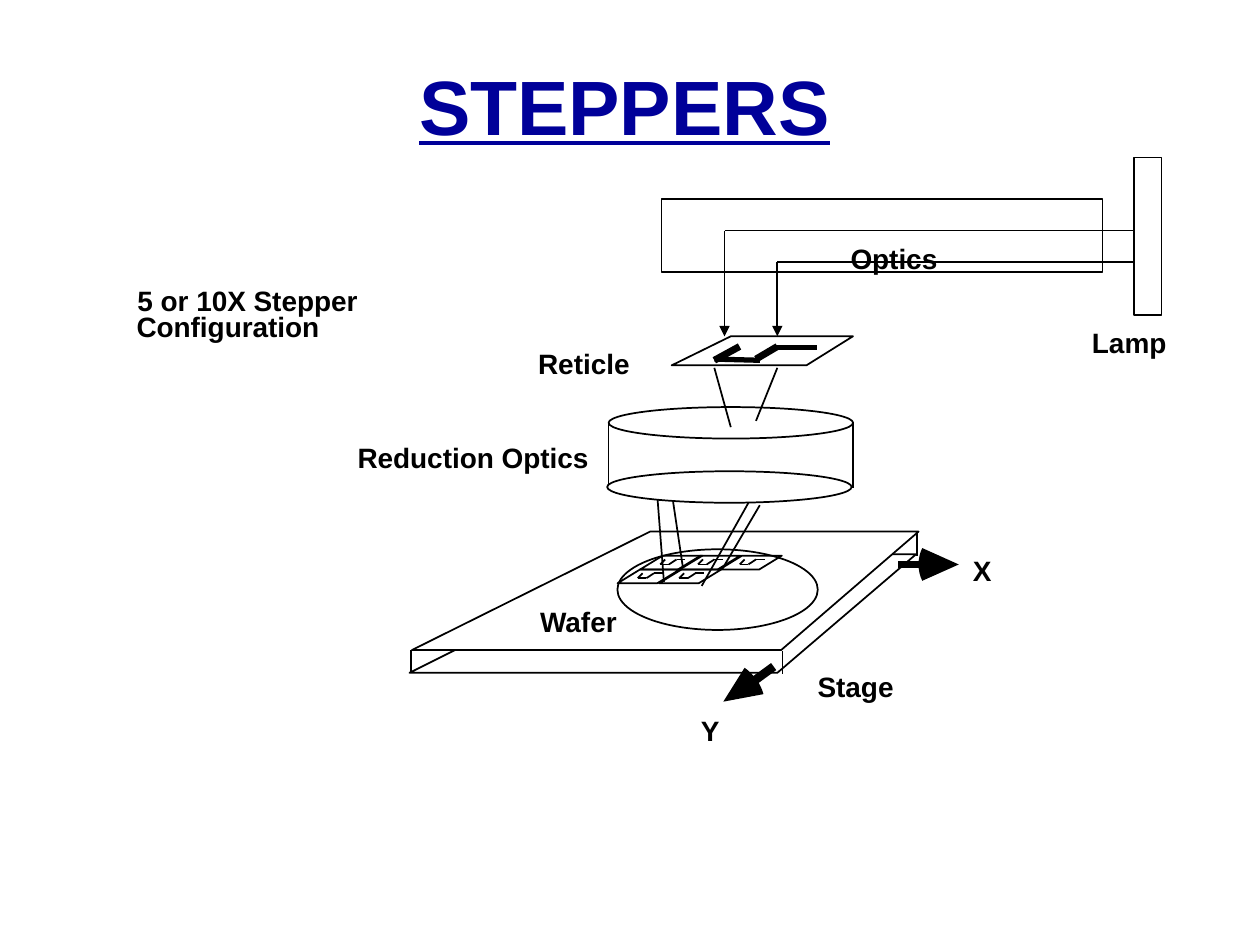
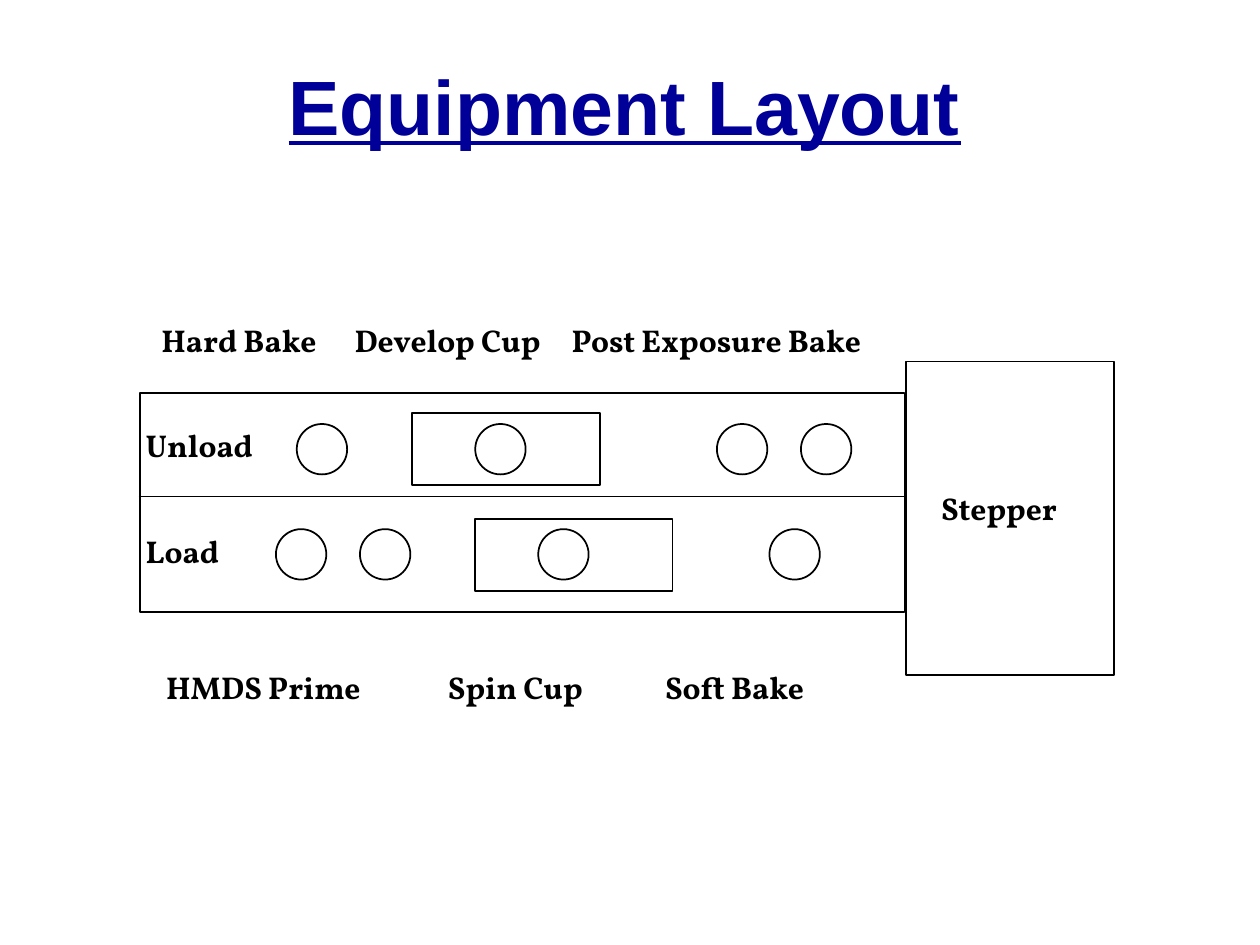
import itertools

import pptx
import pptx.dml.color
import pptx.enum.shapes
import pptx.enum.text
import pptx.oxml
import pptx.oxml.ns
import pptx.util

Pt = pptx.util.Pt
SHAPES = pptx.enum.shapes.MSO_SHAPE
COLORS = {"title": "000099", "ink": "000000", "paper": "FFFFFF"}


def color(name):
    return pptx.dml.color.RGBColor.from_string(COLORS[name])


class Sketch:
    """Holds the shared style and the slide being drawn; lengths in points."""

    heading_font = "Arial"
    layout_font = "Vollkorn"

    def __init__(self):
        self.deck = pptx.Presentation()
        self.deck.slide_width = Pt(720)
        self.deck.slide_height = Pt(540)
        self.page = None

    def new_page(self, title):
        self.page = self.deck.slides.add_slide(self.deck.slide_layouts[6])
        box = self.page.shapes.add_textbox(Pt(36), Pt(18), Pt(642), Pt(90))
        frame = box.text_frame
        frame.word_wrap = True
        frame.vertical_anchor = pptx.enum.text.MSO_ANCHOR.MIDDLE
        para = frame.paragraphs[0]
        para.alignment = pptx.enum.text.PP_ALIGN.CENTER
        para.line_spacing = 0.9
        span = self.add_span(para, title, self.heading_font, 44, "title")
        span.font.underline = True

    def add_span(self, para, text, font, size, ink="ink"):
        span = para.add_run()
        span.text = text
        span.font.name = font
        span.font.size = Pt(size)
        span.font.bold = True
        span.font.color.rgb = color(ink)
        return span

    def label(self, text, left, top, font=heading_font, size=16):
        width = size * (len(text) + 1) * 0.75
        box = self.page.shapes.add_textbox(Pt(left), Pt(top), Pt(width), Pt(size * 1.2))
        frame = box.text_frame
        frame.word_wrap = True
        frame.margin_left = frame.margin_right = 0
        frame.margin_top = frame.margin_bottom = 0
        self.add_span(frame.paragraphs[0], text, font, size)

    def paint(self, shape, fill, outline=True):
        shape.shadow.inherit = False
        if fill:
            shape.fill.solid()
            shape.fill.fore_color.rgb = color(fill)
        else:
            shape.fill.background()
        if outline:
            shape.line.color.rgb = color("ink")
            shape.line.width = Pt(1)
        else:
            shape.line.fill.background()

    def shape(self, kind, left, top, width, height, fill="paper"):
        shape = self.page.shapes.add_shape(kind, Pt(left), Pt(top), Pt(width), Pt(height))
        self.paint(shape, fill)

    def rectangle(self, *frame):
        self.shape(SHAPES.RECTANGLE, *frame)

    def ellipse(self, *frame, fill=None):
        self.shape(SHAPES.OVAL, *frame, fill=fill)

    def polygon(self, points, fill=None, outline=True):
        corners = [(Pt(x), Pt(y)) for x, y in points]
        builder = self.page.shapes.build_freeform(*corners[0], scale=1.0)
        builder.add_line_segments(corners[1:], close=True)
        self.paint(builder.convert_to_shape(), fill, outline)

    def line(self, start, end, width=1, arrow=False):
        connector = self.page.shapes.add_connector(
            pptx.enum.shapes.MSO_CONNECTOR.STRAIGHT,
            Pt(start[0]), Pt(start[1]), Pt(end[0]), Pt(end[1]))
        connector.line.color.rgb = color("ink")
        connector.line.width = Pt(width)
        properties = connector._element.spPr
        if arrow:
            head = pptx.oxml.parse_xml(
                f'<a:tailEnd {pptx.oxml.ns.nsdecls("a")} type="triangle"/>')
            properties.find(pptx.oxml.ns.qn("a:ln")).append(head)
        properties.append(pptx.oxml.parse_xml(
            f'<a:effectLst {pptx.oxml.ns.nsdecls("a")}/>'))

    def trail(self, points):
        for start, end in itertools.pairwise(points):
            self.line(start, end)

    def arrowhead(self, tip, curve):
        """Solid head whose back edge follows a cubic curve."""
        back = []
        for step in range(9):
            t = step / 8
            weights = ((1 - t) ** 3, 3 * t * (1 - t) ** 2, 3 * t * t * (1 - t), t ** 3)
            back.append([sum(w * p[axis] for w, p in zip(weights, curve)) for axis in (0, 1)])
        self.polygon(back + [tip], fill="ink", outline=False)


def draw_die(sketch, left, top):
    outline = [(0, 0), (-12.9, 7.9), (9.8, 7.9), (22.7, 0)]
    pattern = [(1.4, 2.2), (-1.4, 5), (3.6, 5), (7.9, 2.2), (13, 2.2)]
    sketch.polygon([(left + x, top + y) for x, y in outline])
    sketch.trail([(left + x, top + y) for x, y in pattern])


def draw_steppers(sketch):
    sketch.new_page("STEPPERS")
    sketch.label("5 or 10X Stepper", 78.5, 162)
    sketch.label("Configuration", 78, 177)

    # Lamp and reticle
    sketch.rectangle(648, 90, 15.8, 90)
    sketch.polygon([(417.6, 192.2), (383.8, 208.8), (460.8, 208.8), (487.4, 192.2)])
    for start, end, width in [
        ((422.6, 198), (408.2, 205.9), 4),
        ((408.2, 205.2), (434.2, 205.9), 3),
        ((432, 205.2), (444.2, 198), 4),
        ((442.1, 198.7), (466.6, 198.7), 3),
    ]:
        sketch.line(start, end, width)

    # Reduction lens
    sketch.ellipse(347.8, 232.6, 139.7, 18)
    sketch.ellipse(347, 269.3, 139.7, 18)
    sketch.line((347.8, 241.2), (347.8, 278))
    sketch.line((487.4, 242), (487.4, 278.6))

    # Stage: lower face, upper face, vertical edges
    sketch.polygon([(369.4, 316.8), (234, 384.5), (444.2, 384.5), (523.4, 316.8)])
    sketch.polygon([(371.5, 303.8), (235.4, 371.5), (446.4, 371.5), (524.9, 303.8)],
                   fill="paper")
    for x, y in [(234.7, 371.5), (447.1, 372.2), (524.2, 304.6)]:
        sketch.line((x, y), (x, y + 13))

    # Stage motion arrows
    sketch.arrowhead((547.9, 322.6),
                     [(527, 331.9), (524.2, 326.2), (524.2, 319), (527, 313.2)])
    sketch.line((513.4, 322.6), (539.3, 322.6), 4)
    sketch.arrowhead((413.3, 401),
                     [(425.5, 381.6), (430.6, 385.2), (434.9, 391), (436.3, 396.7)])
    sketch.line((442.1, 380.9), (420.5, 396.7), 5)

    # Part names
    for text, left, top in [
        ("Lamp", 624, 185.8), ("Reticle", 307.5, 198), ("Reduction Optics", 204.3, 252),
        ("Wafer", 308.7, 345.6), ("Stage", 467.2, 382.6), ("X", 556, 316.5),
        ("Y", 400.5, 407.5),
    ]:
        sketch.label(text, left, top)

    # Light from reticle to lens
    sketch.line((408.2, 210.2), (417.6, 244.1))
    sketch.line((444.2, 210.2), (432, 240.5))

    # Wafer with exposed dies
    sketch.ellipse(352.8, 313.9, 114.5, 46.1)
    for top, lefts in [(317.5, (378.7, 400.3, 424.1)), (325.4, (365.8, 389.5))]:
        for left in lefts:
            draw_die(sketch, left, top)

    # Light from lens to wafer
    for start, end in [
        ((384.5, 285.8), (390.2, 324)), ((434.2, 288.7), (412.6, 325.4)),
        ((375.8, 285.8), (379.4, 332.6)), ((427.7, 287.3), (401, 334.8)),
    ]:
        sketch.line(start, end)

    # Illumination optics and lamp rays
    sketch.rectangle(378, 113.8, 252, 41.8)
    sketch.label("Optics", 486, 138.2)
    for x, y in [(414, 131.8), (444.2, 149.8)]:
        sketch.line((648, y), (x, y))
        sketch.line((x, y), (x, 192.2), arrow=True)


def draw_equipment(sketch):
    sketch.new_page("Equipment Layout")

    # Track with two lanes, and the stepper beside it
    sketch.rectangle(79.9, 224.6, 437, 125.3)
    sketch.line((79.2, 283.7), (517, 283.7))
    sketch.rectangle(517.7, 206.6, 118.8, 179.3)

    # Cups, then the round stations of each lane
    sketch.rectangle(235.4, 236.2, 107.3, 41)
    sketch.rectangle(271.4, 296.6, 113, 41)
    for top, lefts in [(242.3, (169.6, 271.6, 409.7, 457.7)),
                       (302.4, (157.7, 205.7, 307.6, 439.7))]:
        for left in lefts:
            sketch.ellipse(left, top, 28.8, 28.8, fill="paper")

    # Names of lanes and stations
    for text, left, top in [
        ("Unload", 83.2, 243.4), ("Load", 83.2, 303.8), ("Stepper", 537.8, 279.4),
        ("Hard Bake", 92.2, 183.6), ("Develop Cup", 202.6, 183.6),
        ("Post Exposure Bake", 326.6, 183.6),
        ("HMDS Prime", 95, 381.6), ("Spin Cup", 256, 381.6), ("Soft Bake", 380, 381.6),
    ]:
        sketch.label(text, left, top, sketch.layout_font, 18)


def main():
    sketch = Sketch()
    draw_steppers(sketch)
    draw_equipment(sketch)
    sketch.deck.save("out.pptx")


if __name__ == "__main__":
    main()
